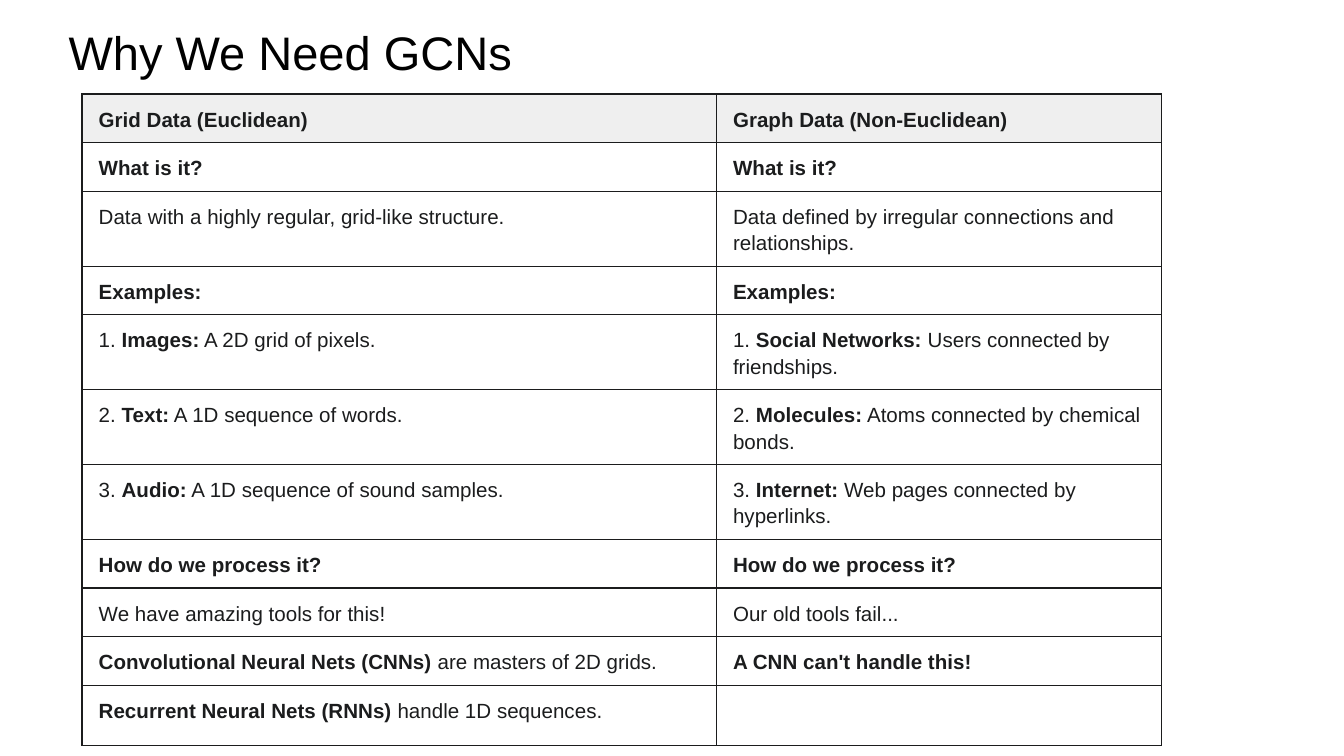
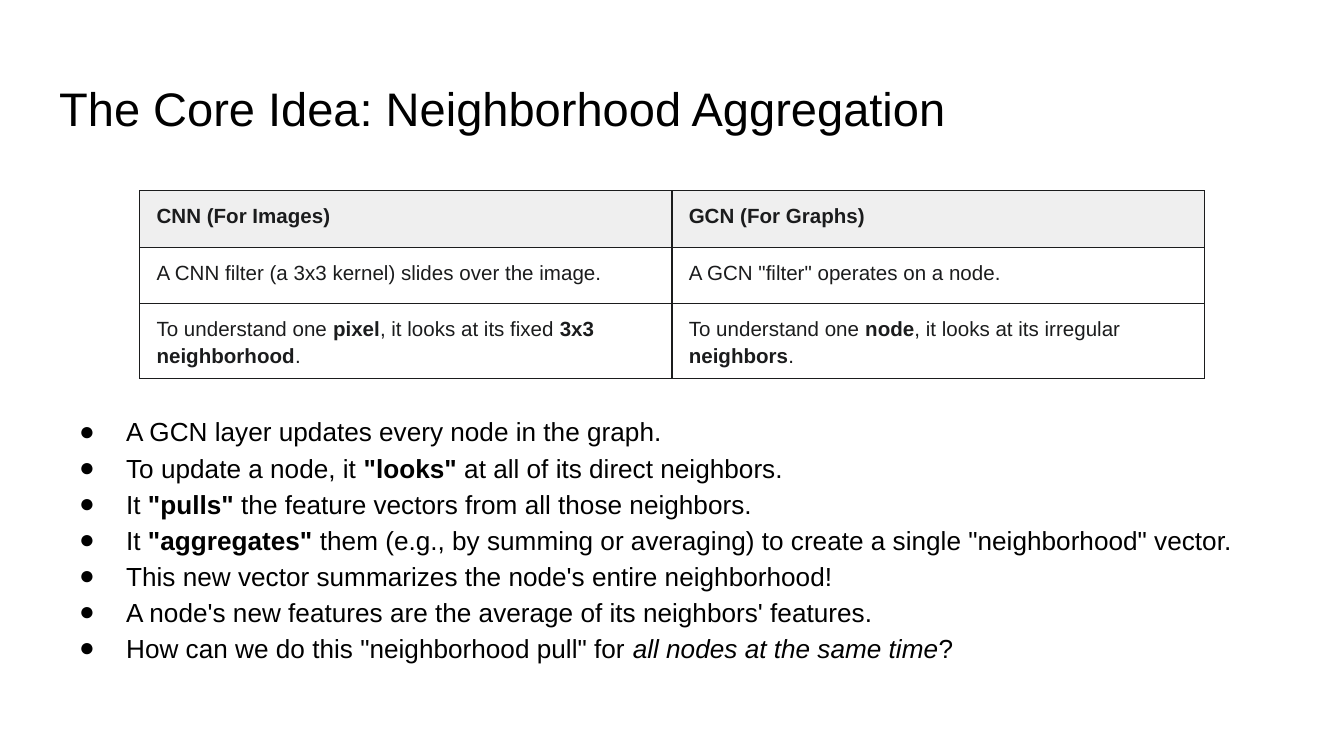
from dataclasses import dataclass

from lxml.etree import SubElement
from pptx import Presentation
from pptx.dml.color import RGBColor
from pptx.enum.text import MSO_ANCHOR, MSO_AUTO_SIZE, PP_ALIGN
from pptx.oxml import parse_xml
from pptx.oxml.ns import nsdecls, qn
from pptx.util import Inches, Pt

# Shared style
FONT = "Arial"
BLACK = RGBColor(0x00, 0x00, 0x00)
INK = RGBColor(0x1B, 0x1C, 0x1D)
HEADER_FILL = RGBColor(0xEF, 0xEF, 0xEF)
LINE_SPACING = 1.15
SLIDE_W = Inches(10)
SLIDE_H = SLIDE_W * 9 // 16
BOX_MARGIN = Inches(0.1)
CELL_MARGIN_X, CELL_MARGIN_Y = Pt(9), Pt(6)
TITLE_W, TITLE_H = 9.32, 0.63
ROW, WRAPPED_ROW, LAST_ROW = 0.29, 0.46, 0.32


@dataclass
class Comparison:
    """Two-column table; *stars* mark bold text."""
    left: float
    top: float
    widths: list[float]
    heights: list[float]
    rows: list[tuple[str, str]]


DATA_KINDS = Comparison(
    0.61, 0.7, [4.72, 3.31],
    [ROW, ROW, WRAPPED_ROW, ROW] + [WRAPPED_ROW] * 3 + [ROW] * 2 + [LAST_ROW] * 2,
    [
        ("*Grid Data (Euclidean)*", "*Graph Data (Non-Euclidean)*"),
        ("*What is it?*", "*What is it?*"),
        ("Data with a highly regular, grid-like structure.",
         "Data defined by irregular connections and relationships."),
        ("*Examples:*", "*Examples:*"),
        ("1. *Images:* A 2D grid of pixels.",
         "1. *Social Networks:* Users connected by friendships."),
        ("2. *Text:* A 1D sequence of words.",
         "2. *Molecules:* Atoms connected by chemical bonds."),
        ("3. *Audio:* A 1D sequence of sound samples.",
         "3. *Internet:* Web pages connected by hyperlinks."),
        ("*How do we process it?*", "*How do we process it?*"),
        ("We have amazing tools for this!", "Our old tools fail..."),
        ("*Convolutional Neural Nets (CNNs)* are masters of 2D grids.",
         "*A CNN can't handle this!*"),
        ("*Recurrent Neural Nets (RNNs)* handle 1D sequences.", ""),
    ])

FILTERS = Comparison(
    1.04, 1.42, [3.96] * 2, [0.42] * 3,
    [
        ("*CNN (For Images)*", "*GCN (For Graphs)*"),
        ("A CNN filter (a 3x3 kernel) slides over the image.",
         'A GCN "filter" operates on a node.'),
        ("To understand one *pixel*, it looks at its fixed *3x3 neighborhood*.",
         "To understand one *node*, it looks at its irregular *neighbors*."),
    ])

AGGREGATION_STEPS = [
    "A GCN layer updates every node in the graph.",
    'To update a node, it *"looks"* at all of its direct neighbors.',
    'It *"pulls"* the feature vectors from all those neighbors.',
    'It *"aggregates"* them (e.g., by summing or averaging) to create a single '
    '"neighborhood" vector.',
    "This new vector summarizes the node's entire neighborhood!",
    "A node's new features are the average of its neighbors' features.",
    'How can we do this "neighborhood pull" for ~all nodes at the same time~?',
]


def add_runs(p, text: str, size: float, color: RGBColor) -> None:
    """Write text with *bold* and ~italic~ parts."""
    for i, chunk in enumerate(text.split("*")):
        for j, part in enumerate(chunk.split("~")):
            if part:
                r = p.add_run()
                r.text = part
                r.font.name, r.font.size = FONT, Pt(size)
                r.font.color.rgb = color
                r.font.bold, r.font.italic = i % 2 == 1, j % 2 == 1


def set_margins(tf) -> None:
    tf.margin_left = tf.margin_right = tf.margin_top = tf.margin_bottom = BOX_MARGIN
    tf.word_wrap = True
    tf.auto_size = MSO_AUTO_SIZE.NONE


def add_titled_slide(prs, title: str, left: float, top: float):
    s = prs.slides.add_slide(prs.slide_layouts[5])
    sp = s.shapes.title
    sp.left, sp.top = Inches(left), Inches(top)
    sp.width, sp.height = Inches(TITLE_W), Inches(TITLE_H)
    tf = sp.text_frame
    set_margins(tf)
    tf.vertical_anchor = MSO_ANCHOR.MIDDLE
    p = tf.paragraphs[0]
    p.alignment = PP_ALIGN.LEFT
    add_runs(p, title, 25.2, BLACK)
    return s


def add_borders(cell) -> None:
    tc_pr = cell._tc.get_or_add_tcPr()
    for i, side in enumerate(("lnL", "lnR", "lnT", "lnB")):
        tc_pr.insert(i, parse_xml(
            f'<a:{side} {nsdecls("a")} w="{Pt(0.75)}"><a:solidFill>'
            f'<a:srgbClr val="{INK}"/></a:solidFill></a:{side}>'))


def fill_cell_text(cell, text: str) -> None:
    p = cell.text_frame.paragraphs[0]
    if text:
        p.line_spacing = LINE_SPACING
        add_runs(p, text, 11, INK)
    else:
        end = SubElement(p._p, qn("a:endParaRPr"))
        SubElement(end, qn("a:latin"), typeface=FONT)


def add_comparison(s, comparison: Comparison) -> None:
    widths, heights = comparison.widths, comparison.heights
    table = s.shapes.add_table(
        len(heights), len(widths), Inches(comparison.left), Inches(comparison.top),
        Inches(sum(widths)), Inches(sum(heights))).table
    for column, width in zip(table.columns, widths):
        column.width = Inches(width)
    for i, (row, height, texts) in enumerate(zip(table.rows, heights, comparison.rows)):
        row.height = Inches(height)
        for cell, text in zip(row.cells, texts):
            cell.margin_left = cell.margin_right = CELL_MARGIN_X
            cell.margin_top = cell.margin_bottom = CELL_MARGIN_Y
            if i == 0:
                cell.fill.solid()
                cell.fill.fore_color.rgb = HEADER_FILL
            else:
                cell.fill.background()
            add_borders(cell)
            fill_cell_text(cell, text)


def add_bullets(s, items: list[str], left: float, top: float,
                width: float, height: float) -> None:
    tf = s.shapes.add_textbox(Inches(left), Inches(top),
                              Inches(width), Inches(height)).text_frame
    set_margins(tf)
    for i, item in enumerate(items):
        p = tf.paragraphs[0] if i == 0 else tf.add_paragraph()
        p.line_spacing = LINE_SPACING
        p_pr = p._p.get_or_add_pPr()
        p_pr.set("marL", str(Inches(0.5)))
        p_pr.set("indent", str(Inches(-0.35)))
        color = SubElement(p_pr, qn("a:buClr"))
        SubElement(color, qn("a:srgbClr"), val=str(BLACK))
        SubElement(p_pr, qn("a:buFont"), typeface=FONT)
        SubElement(p_pr, qn("a:buChar"), char="●")
        add_runs(p, item, 14, BLACK)


def main() -> None:
    prs = Presentation()
    prs.slide_width, prs.slide_height = SLIDE_W, SLIDE_H

    # Grid data against graph data
    s = add_titled_slide(prs, "Why We Need GCNs", 0.41, 0.07)
    add_comparison(s, DATA_KINDS)

    # Neighborhood aggregation
    s = add_titled_slide(prs, "The Core Idea: Neighborhood Aggregation", 0.34, 0.49)
    add_bullets(s, AGGREGATION_STEPS, 0.34, 2.96, TITLE_W, 2.43)
    add_comparison(s, FILTERS)

    prs.save("out.pptx")


if __name__ == "__main__":
    main()
